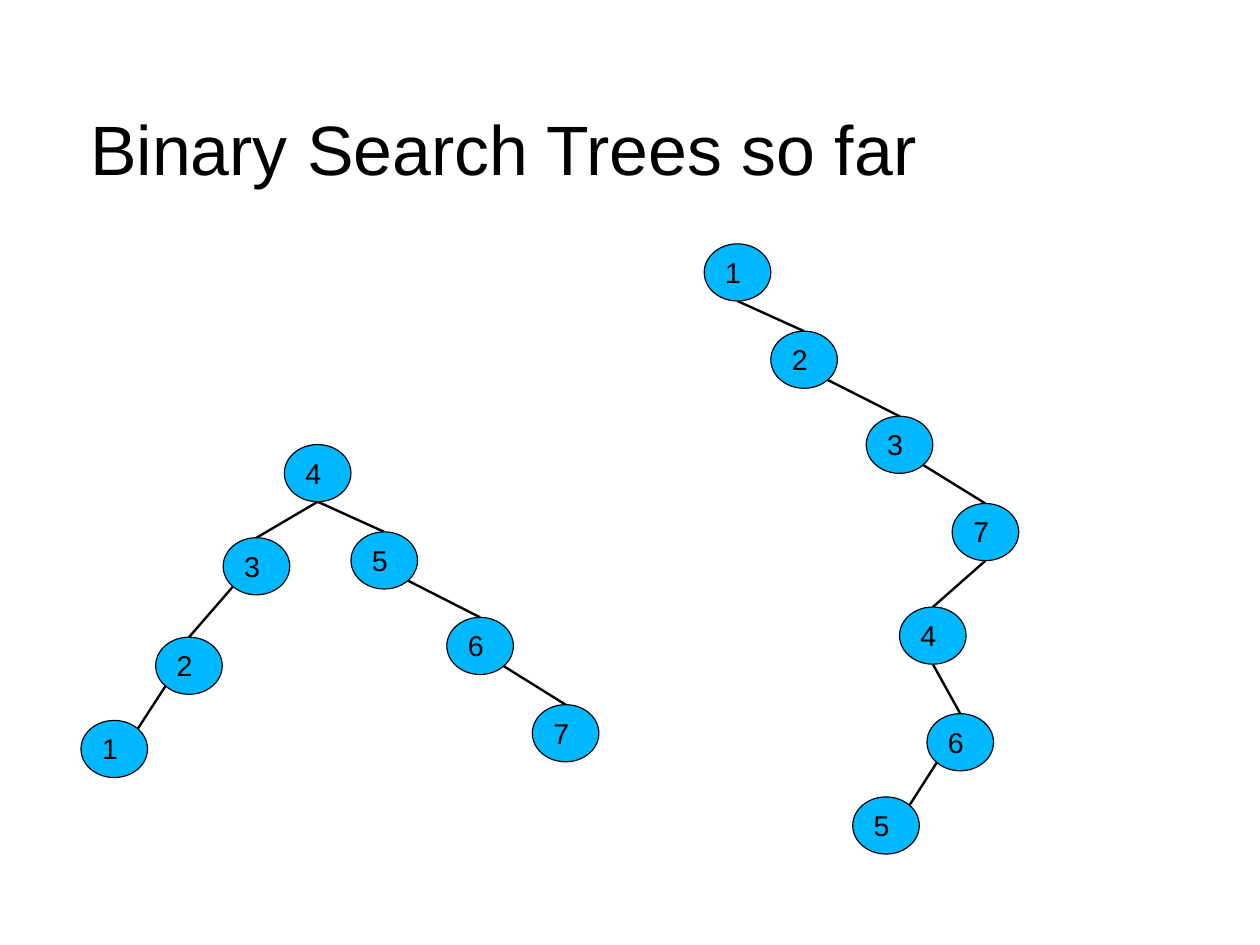
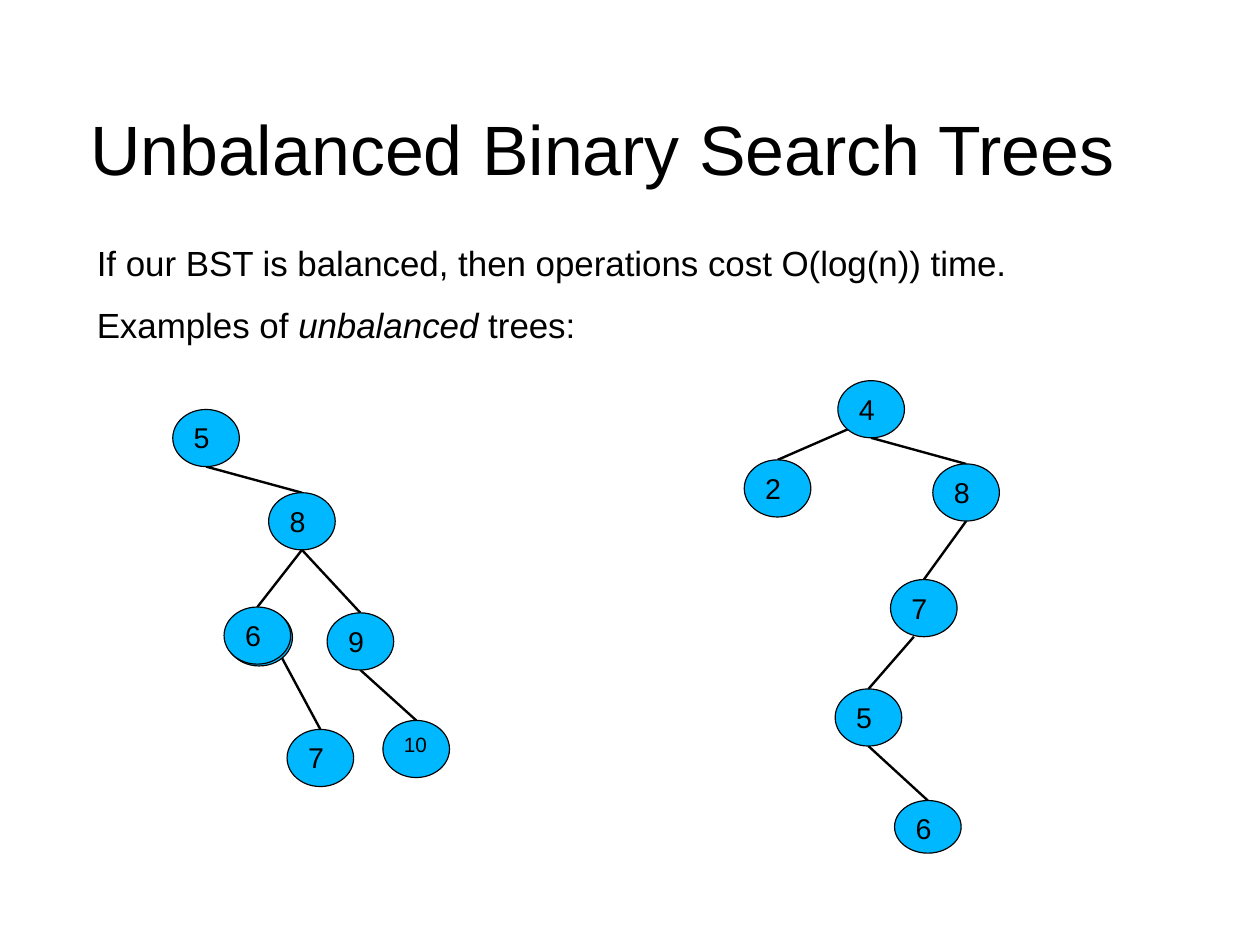
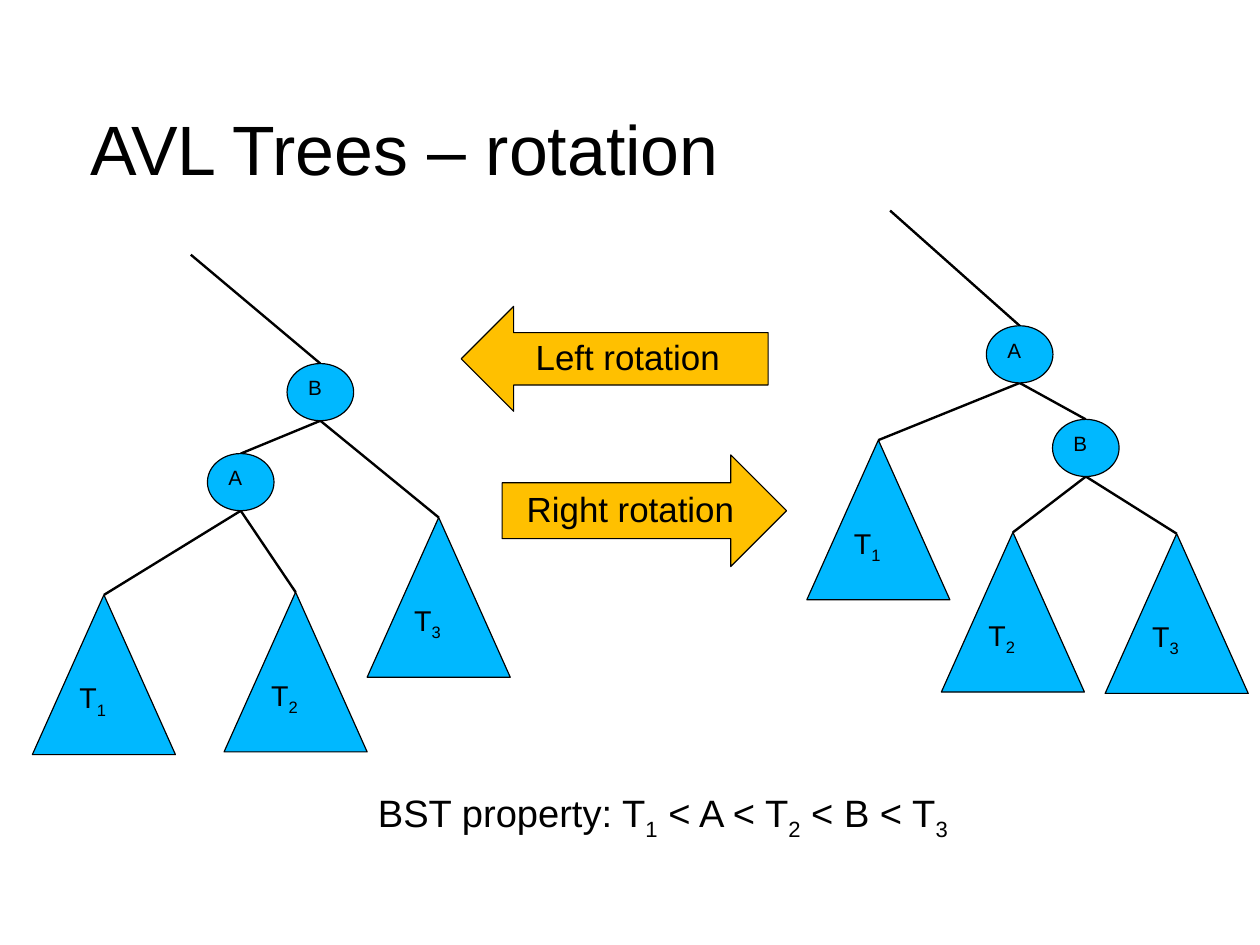
from lxml import etree
from pptx import Presentation
from pptx.dml.color import RGBColor
from pptx.enum import shapes as sh, text as tx
from pptx.oxml.ns import qn
from pptx.util import Cm, Pt

BLACK = RGBColor(0, 0, 0)
BLUE = RGBColor(0x00, 0xB8, 0xFF)
GOLD = RGBColor(0xFF, 0xC0, 0x00)
FONT = "Arial"
FORM = sh.MSO_SHAPE

# Node kinds: shape, width and height in cm, text size
KINDS = {
    "key": (FORM.OVAL, 1.48, 1.27, 18),
    "flat": (FORM.OVAL, 1.48, 1.17, 18),
    "small": (FORM.OVAL, 1.48, 1.27, 13),
    "sub": (FORM.ISOSCELES_TRIANGLE, 3.18, 3.55, 18),
}
# Points on a node where edges meet it, as shares of width and height
SITES = {"t": (0.5, 0), "b": (0.5, 1), "bl": (0.15, 0.85),
         "br": (0.85, 0.85), "tr": (0.85, 0.15), "low": (0.35, 1)}

# Trees: nodes as name: (x, y, kind); edges as parent, site, child, site
SPREAD = (
    {"4": (4.52, 0, "key"), "5": (6, 1.94, "key"), "6": (8.13, 3.84, "key"),
     "7": (10.03, 5.78, "key"), "3": (3.16, 2.07, "key"),
     "2": (1.66, 4.28, "key"), "1": (0, 6.13, "key")},
    ["4 b 5 t", "5 br 6 t", "6 br 7 t", "4 b 3 t", "3 bl 2 t", "2 bl 1 tr"])
CHAIN = (
    {"1": (0, 0, "key"), "2": (1.48, 1.94, "key"), "3": (3.6, 3.83, "key"),
     "7": (5.51, 5.77, "key"), "4": (4.34, 8.07, "key"),
     "6": (4.95, 10.44, "key"), "5": (3.3, 12.29, "key")},
    ["1 b 2 t", "2 br 3 t", "3 br 7 t", "7 b 4 t", "4 b 6 t", "6 bl 5 tr"])
HEAVY = (
    {"": (1.18, 4.43, "key"), "5": (0, 0, "key"), "8": (2.13, 1.85, "key"),
     "9": (3.43, 4.52, "key"), "10": (4.67, 6.91, "small"),
     "6": (1.14, 4.39, "key"), "7": (2.54, 7.11, "key")},
    ["5 b 8 t", "8 b 9 t", "9 b 10 t", "8 b 6 t", "6 br 7 t"])
ZIGZAG = (
    {"4": (2.08, 0, "key"), "2": (0, 1.76, "key"), "8": (4.19, 1.85, "key"),
     "7": (3.25, 4.42, "key"), "5": (2.02, 6.85, "key"),
     "6": (3.34, 9.33, "flat")},
    ["4 bl 2 t", "4 b 8 t", "8 b 7 t", "7 low 5 t", "5 b 6 t"])
BEFORE = (
    {"B": (5.66, 2.42, "small"), "A": (3.89, 4.42, "small"),
     "T_1": (0, 7.56, "sub"), "T_2": (4.26, 7.5, "sub"),
     "T_3": (7.44, 5.84, "sub")},
    ["B b A t", "A b T_1 t", "A b T_2 t", "B b T_3 t"])
AFTER = (
    {"A": (3.99, 2.56, "small"), "B": (5.46, 4.64, "small"),
     "T_1": (0, 5.1, "sub"), "T_2": (2.99, 7.15, "sub"),
     "T_3": (6.63, 7.18, "sub")},
    ["A b B t", "A b T_1 t", "B b T_2 t", "B b T_3 t"])


def style(par, size):
    par.line_spacing = 0.93
    font = par.font
    font.name, font.size = FONT, Pt(size)
    font.color.rgb = BLACK


def write(par, words, size):
    """Write words; the character after each underscore is a subscript."""
    style(par, size)
    head, *rest = words.split("_")
    par.add_run().text = head
    for part in rest:
        run = par.add_run()
        run.text = part[0]
        run._r.get_or_add_rPr().set("baseline", "-25000")
        if part[1:]:
            par.add_run().text = part[1:]


def place(item, box):
    item.left, item.top, item.width, item.height = map(Cm, box)


def inset(frame, top):
    frame.margin_left = frame.margin_right = frame.margin_bottom = 0
    frame.margin_top = Cm(top)
    frame.auto_size = tx.MSO_AUTO_SIZE.NONE


def draw(slide, form, box, fill):
    item = slide.shapes.add_shape(form, *map(Cm, box))
    item.shadow.inherit = False
    item.fill.solid()
    item.fill.fore_color.rgb = fill
    item.line.color.rgb = BLACK
    item.line.width = Pt(0.75)
    return item


def link(slide, start, end):
    line = slide.shapes.add_connector(
        sh.MSO_CONNECTOR.STRAIGHT, *map(Cm, start + end))
    line.line.color.rgb = BLACK
    line.line.width = Pt(1.5)
    etree.SubElement(line._element.spPr, qn("a:effectLst"))


def tree(slide, box, plan, stem=None):
    """Draw a tree from the box corner; a stem enters its first node."""
    left, top = box
    nodes, edges = plan

    def site(name, key):
        x, y, kind = nodes[name]
        _, wide, high, _ = KINDS[kind]
        across, down = SITES[key]
        return left + x + across * wide, top + y + down * high

    # Edges
    for edge in edges:
        up, leave, low, enter = edge.split()
        link(slide, site(up, leave), site(low, enter))
    if stem is not None:
        link(slide, (left + stem, top), site(next(iter(nodes)), "t"))
    # Nodes
    for name, (x, y, kind) in nodes.items():
        form, wide, high, size = KINDS[kind]
        node = draw(slide, form, (left + x, top + y, wide, high), BLUE)
        if name:
            frame = node.text_frame
            frame.vertical_anchor = tx.MSO_ANCHOR.TOP
            write(frame.paragraphs[0], name, size)
            frame.paragraphs[0].alignment = tx.PP_ALIGN.LEFT


def arrow(slide, form, box, words):
    frame = draw(slide, form, box, GOLD).text_frame
    frame.vertical_anchor = tx.MSO_ANCHOR.MIDDLE
    write(frame.paragraphs[0], words, 22)
    frame.paragraphs[0].alignment = tx.PP_ALIGN.CENTER


def page(deck, layout, words):
    slide = deck.slides.add_slide(deck.slide_layouts[layout])
    title = slide.shapes.title
    place(title, (2, 1.58, 23.5, 3.48))
    frame = title.text_frame
    inset(frame, 0.1)
    frame.vertical_anchor = tx.MSO_ANCHOR.MIDDLE
    write(frame.paragraphs[0], words, 44)
    frame.paragraphs[0].alignment = tx.PP_ALIGN.LEFT
    return slide


def body(slide, box, lines):
    """Fill the body with lines, each a list of (words, italic)."""
    item = slide.placeholders[1]
    place(item, box)
    frame = item.text_frame
    inset(frame, 0.05)
    for i, line in enumerate(lines):
        par = frame.add_paragraph() if i else frame.paragraphs[0]
        style(par, 22)
        par.space_before, par.space_after = Pt(0), Pt(14.2)
        props = par._p.get_or_add_pPr()
        props.set("marL", str(Cm(0.15)))
        props.set("indent", "0")
        props.find(qn("a:defRPr")).addprevious(
            etree.Element(qn("a:buNone")))
        for words, slant in line:
            run = par.add_run()
            run.text = words
            if slant:
                run.font.italic = True


def caption(slide, box, words):
    frame = slide.shapes.add_textbox(*map(Cm, box)).text_frame
    frame.word_wrap = False
    frame.auto_size = tx.MSO_AUTO_SIZE.SHAPE_TO_FIT_TEXT
    write(frame.paragraphs[0], words, 24)


def main():
    deck = Presentation()
    deck.slide_width, deck.slide_height = Cm(28), Cm(21)

    # Search trees
    slide = page(deck, 5, "Binary Search Trees so far")
    tree(slide, (1.8, 9.88), SPREAD)
    tree(slide, (15.65, 5.42), CHAIN)

    # Unbalanced trees
    slide = page(deck, 1, "Unbalanced Binary Search Trees")
    body(slide, (2, 5.41, 24.6, 13.36), [
        [("If our BST is balanced, then operations cost O(log(n)) time.",
          False)],
        [("Examples of ", False), ("unbalanced ", True), ("trees:", False)],
    ])
    tree(slide, (16.54, 8.46), ZIGZAG)
    tree(slide, (3.84, 9.1), HEAVY)

    # Rotation
    slide = page(deck, 5, "AVL Trees – rotation")
    arrow(slide, FORM.LEFT_ARROW, (10.25, 6.81, 6.82, 2.33), "Left rotation")
    arrow(slide, FORM.RIGHT_ARROW, (11.16, 10.11, 6.32, 2.48),
          "Right rotation")
    tree(slide, (17.93, 4.68), AFTER, 1.85)
    tree(slide, (0.72, 5.66), BEFORE, 3.52)
    caption(slide, (8.15, 17.42, 13.41, 1.22),
            "BST property: T_1 < A < T_2 < B < T_3")

    deck.save("out.pptx")


main()
